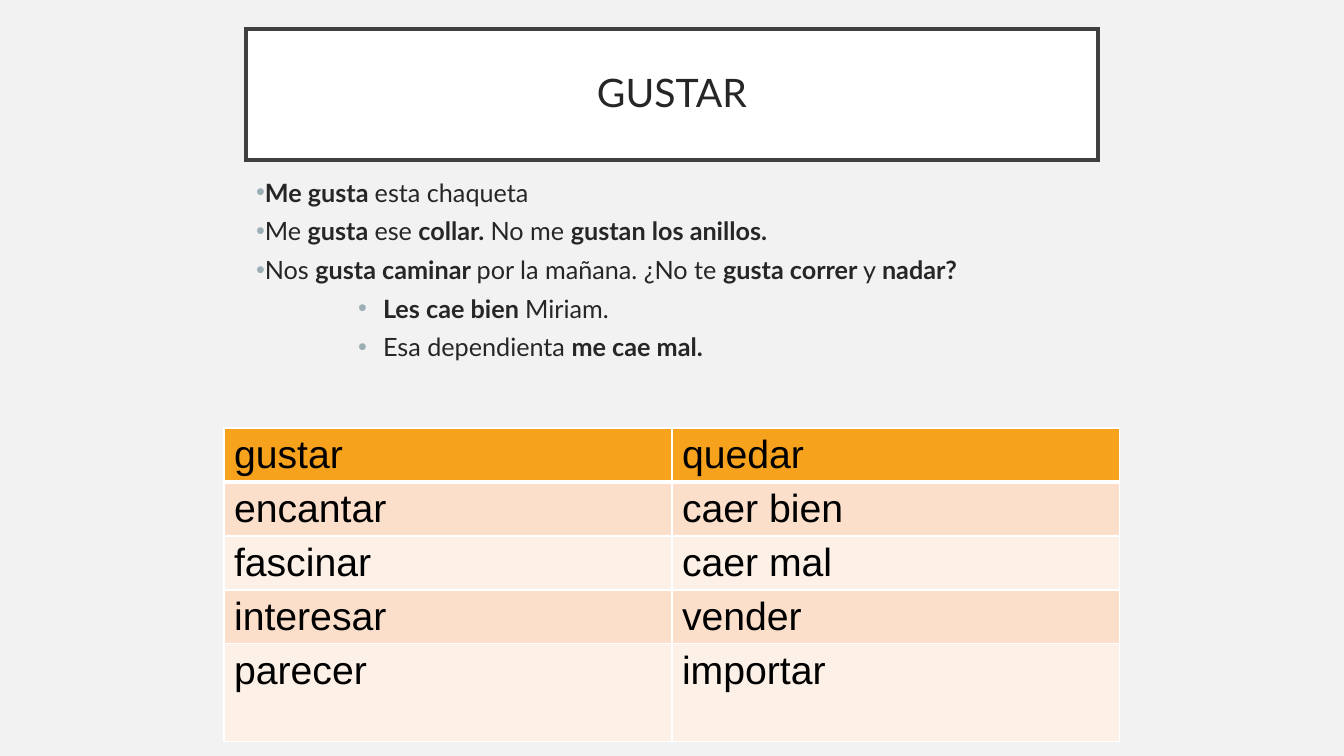
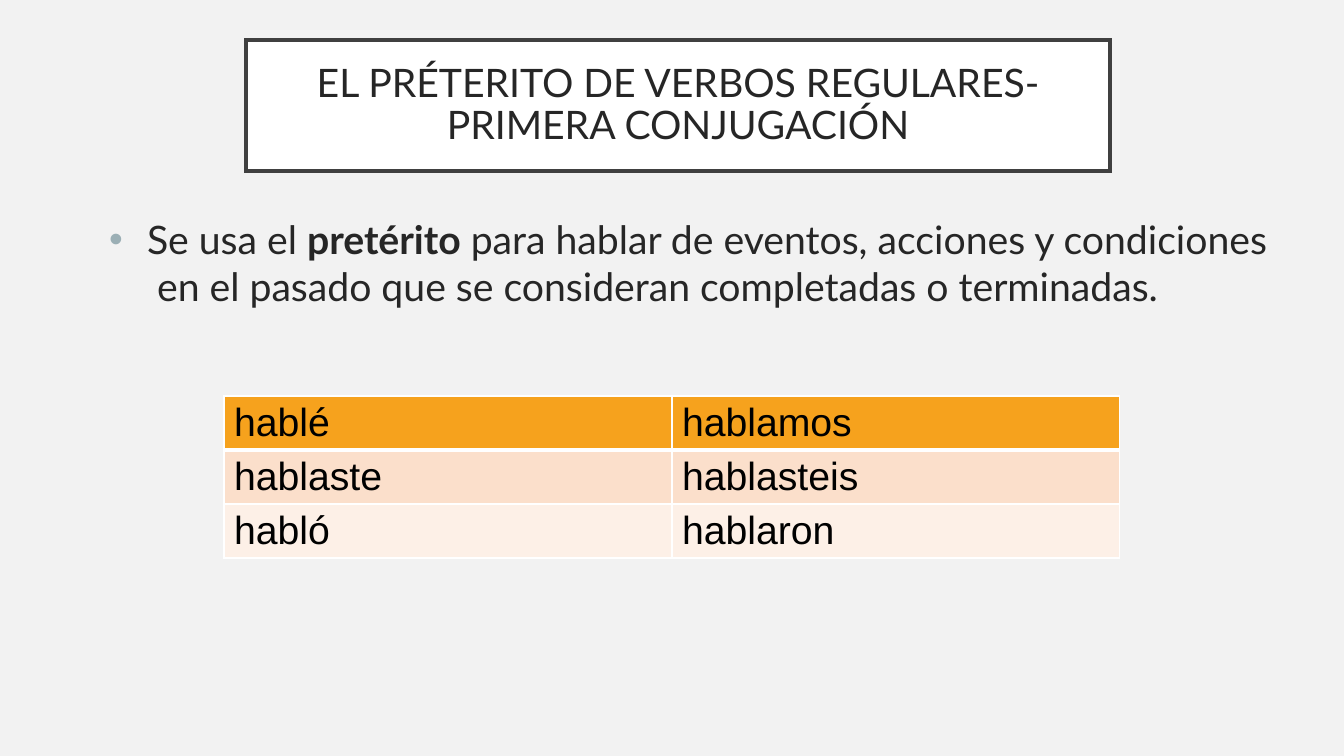
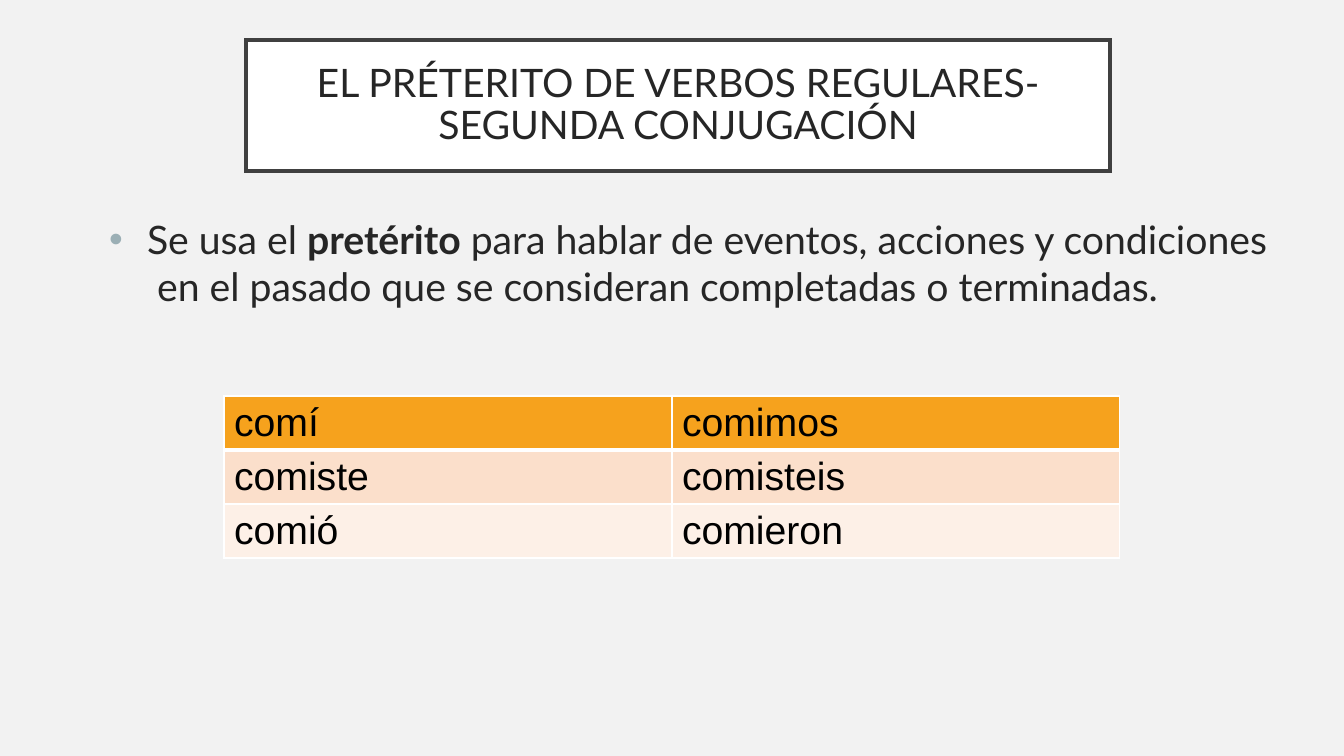
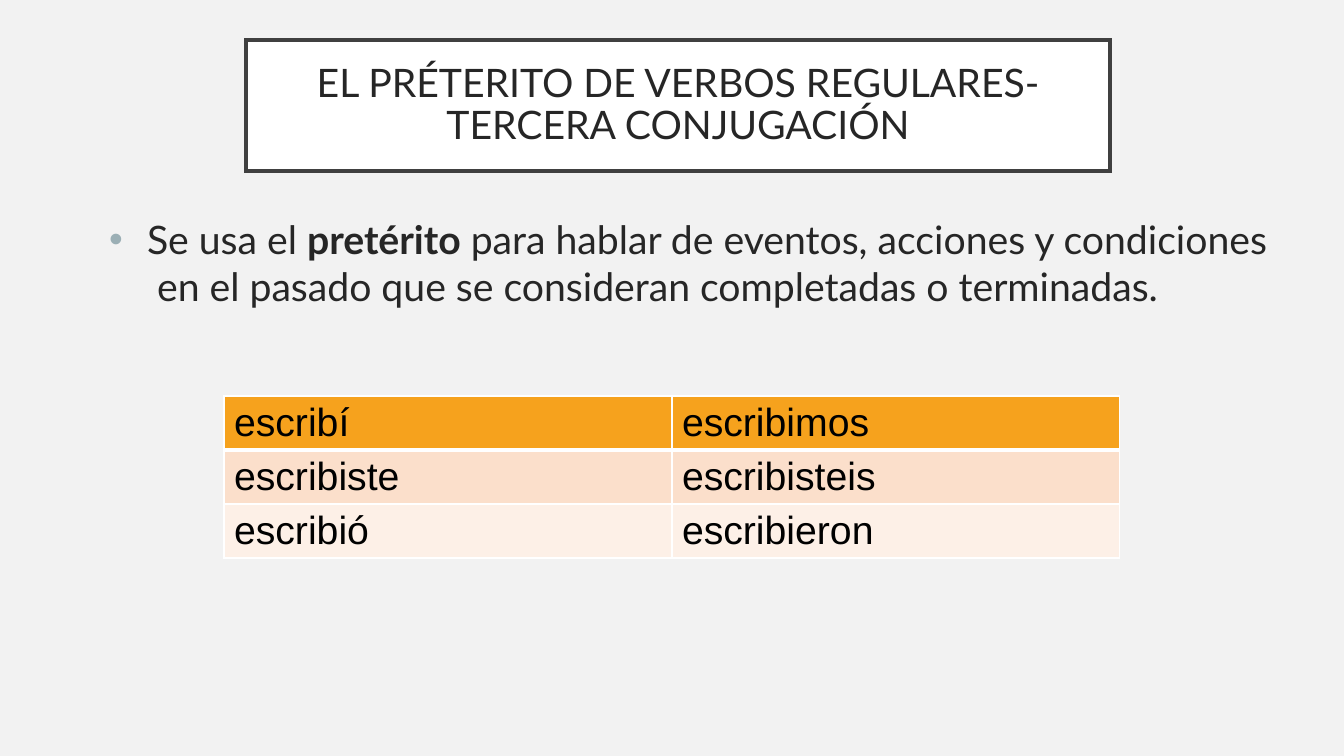
import dataclasses

import lxml.etree
import pptx
import pptx.dml.color
import pptx.enum.text
import pptx.oxml.ns
import pptx.util

RULE = [[
    ("Se usa el ", False),
    ("pretérito", True),
    (" para hablar de eventos, acciones y condiciones \u00a0en el pasado "
     "que se consideran completadas o terminadas.", False),
]]

GUSTAR_EXAMPLES = [
    [("Me gusta ", True), ("esta chaqueta", False)],
    [("Me ", False), ("gusta ", True), ("ese ", False), ("collar. ", True),
     ("No me ", False), ("gustan los anillos.", True)],
    [("Nos ", False), ("gusta caminar ", True),
     ("por la mañana. ¿No te ", False), ("gusta correr ", True),
     ("y ", False), ("nadar?", True)],
    [("Les cae bien ", True), ("Miriam.", False)],
    [("Esa dependienta ", False), ("me cae mal.", True)],
]

GUSTAR_VERBS = [
    ("gustar", "quedar"),
    ("encantar", "caer bien"),
    ("fascinar", "caer mal"),
    ("interesar", "vender"),
    ("parecer", "importar"),
]

CONJUGATIONS = [
    ("PRIMERA", [("hablé", "hablamos"), ("hablaste", "hablasteis"),
                 ("habló", "hablaron")]),
    ("SEGUNDA", [("comí", "comimos"), ("comiste", "comisteis"),
                 ("comió", "comieron")]),
    ("TERCERA", [("escribí", "escribimos"), ("escribiste", "escribisteis"),
                 ("escribió", "escribieron")]),
]


@dataclasses.dataclass(frozen=True)
class Theme:
    background: str = "F2F2F2"
    panel: str = "FFFFFF"
    frame: str = "404040"
    text: str = "262626"
    bullet: str = "9BAFB5"
    table_text: str = "000000"
    header: str = "F6A21D"
    bands: tuple = ("FBDFCB", "FDF0E7")
    border: str = "FFFFFF"
    font: str = "Lato"
    table_font: str = "Arial"
    large: int = 28
    small: int = 18
    frame_width: float = 2.5
    thin: int = 1
    thick: int = 3


THEME = Theme()
SCALE = 914400 / 100.8
SLIDE_SIZE = (1344, 756)
TABLE_LEFT, COLUMN_WIDTH, ROW_HEIGHT = 224, 448, 54
TITLE_INSET = 20


def px(n):
    return pptx.util.Emu(round(n * SCALE))


def rgb(value):
    return pptx.dml.color.RGBColor.from_string(value)


def place(shape, box):
    shape.left, shape.top, shape.width, shape.height = map(px, box)


def add_run(p, text, size, font, color, bold=False):
    r = p.add_run()
    r.text = text
    r.font.size = pptx.util.Pt(size)
    r.font.name = font
    r.font.bold = bold
    r.font.color.rgb = rgb(color)


def add_child(parent, tag, **attributes):
    return lxml.etree.SubElement(parent, pptx.oxml.ns.qn(tag), **attributes)


def set_title(s, text, box):
    title = s.shapes.title
    place(title, box)
    title.fill.solid()
    title.fill.fore_color.rgb = rgb(THEME.panel)
    title.line.color.rgb = rgb(THEME.frame)
    title.line.width = pptx.util.Pt(THEME.frame_width)
    outline = title.element.spPr.find(pptx.oxml.ns.qn("a:ln"))
    add_child(outline, "a:miter", lim="800000")
    tf = title.text_frame
    tf.word_wrap = True
    tf.auto_size = pptx.enum.text.MSO_AUTO_SIZE.NONE
    tf.vertical_anchor = pptx.enum.text.MSO_ANCHOR.MIDDLE
    tf.margin_left = tf.margin_right = px(TITLE_INSET)
    tf.margin_top = tf.margin_bottom = px(TITLE_INSET)
    p = tf.paragraphs[0]
    p.alignment = pptx.enum.text.PP_ALIGN.CENTER
    p.line_spacing = 0.9
    add_run(p, text, THEME.large, THEME.font, THEME.text)


def set_body(s, paragraphs, box, size, indents):
    body = s.placeholders[1]
    place(body, box)
    tf = body.text_frame
    tf.word_wrap = True
    tf.auto_size = pptx.enum.text.MSO_AUTO_SIZE.NONE
    for i, (runs, (margin, hanging)) in enumerate(zip(paragraphs, indents)):
        p = tf.paragraphs[0] if i == 0 else tf.add_paragraph()
        p.line_spacing = 1.0
        p.space_before = pptx.util.Pt(6 if i else 0)
        pPr = p._p.get_or_add_pPr()
        pPr.set("marL", str(px(margin)))
        pPr.set("indent", str(px(-hanging)))
        color = add_child(pPr, "a:buClr")
        add_child(color, "a:srgbClr", val=THEME.bullet)
        add_child(pPr, "a:buFont", typeface=THEME.table_font)
        add_child(pPr, "a:buChar", char="•")
        for text, bold in runs:
            add_run(p, text, size, THEME.font, THEME.text, bold)


def set_borders(cell, row):
    tcPr = cell._tc.get_or_add_tcPr()
    widths = {
        "a:lnL": THEME.thin,
        "a:lnR": THEME.thin,
        "a:lnT": THEME.thick if row == 1 else THEME.thin,
        "a:lnB": THEME.thick if row == 0 else THEME.thin,
    }
    for tag, width in widths.items():
        line = add_child(tcPr, tag, w=str(pptx.util.Pt(width)))
        fill = add_child(line, "a:solidFill")
        add_child(fill, "a:srgbClr", val=THEME.border)


def add_verb_table(s, rows, top, last_height=ROW_HEIGHT):
    heights = [ROW_HEIGHT] * (len(rows) - 1) + [last_height]
    columns = len(rows[0])
    table = s.shapes.add_table(
        len(rows), columns, px(TABLE_LEFT), px(top),
        px(COLUMN_WIDTH * columns), px(sum(heights))).table
    table.first_row = table.horz_banding = False
    for column in table.columns:
        column.width = px(COLUMN_WIDTH)
    for i, (verbs, height) in enumerate(zip(rows, heights)):
        table.rows[i].height = px(height)
        fill = THEME.bands[(i - 1) % 2] if i else THEME.header
        for j, verb in enumerate(verbs):
            cell = table.cell(i, j)
            set_borders(cell, i)
            cell.fill.solid()
            cell.fill.fore_color.rgb = rgb(fill)
            add_run(cell.text_frame.paragraphs[0], verb, THEME.large,
                    THEME.table_font, THEME.table_text)


def add_slide(prs):
    return prs.slides.add_slide(prs.slide_layouts[1])


def build_gustar(prs):
    s = add_slide(prs)
    set_title(s, "GUSTAR", (246, 29, 852, 131))
    set_body(s, GUSTAR_EXAMPLES, (246, 172, 1033, 543), THEME.small,
             [(0, 0)] * 3 + [(127, 25)] * 2)
    add_verb_table(s, GUSTAR_VERBS, 428, 98)


def build_conjugation(prs, name, rows):
    s = add_slide(prs)
    set_title(s, f"EL PRÉTERITO DE VERBOS REGULARES- {name} CONJUGACIÓN",
              (246, 40, 864, 131))
    set_body(s, RULE, (99, 210, 1180, 131), THEME.large, [(38, 38)])
    add_verb_table(s, rows, 396)


prs = pptx.Presentation()
prs.slide_width, prs.slide_height = map(px, SLIDE_SIZE)
background = prs.slide_master.background.fill
background.solid()
background.fore_color.rgb = rgb(THEME.background)
build_gustar(prs)
for name, rows in CONJUGATIONS:
    build_conjugation(prs, name, rows)
prs.save("out.pptx")
